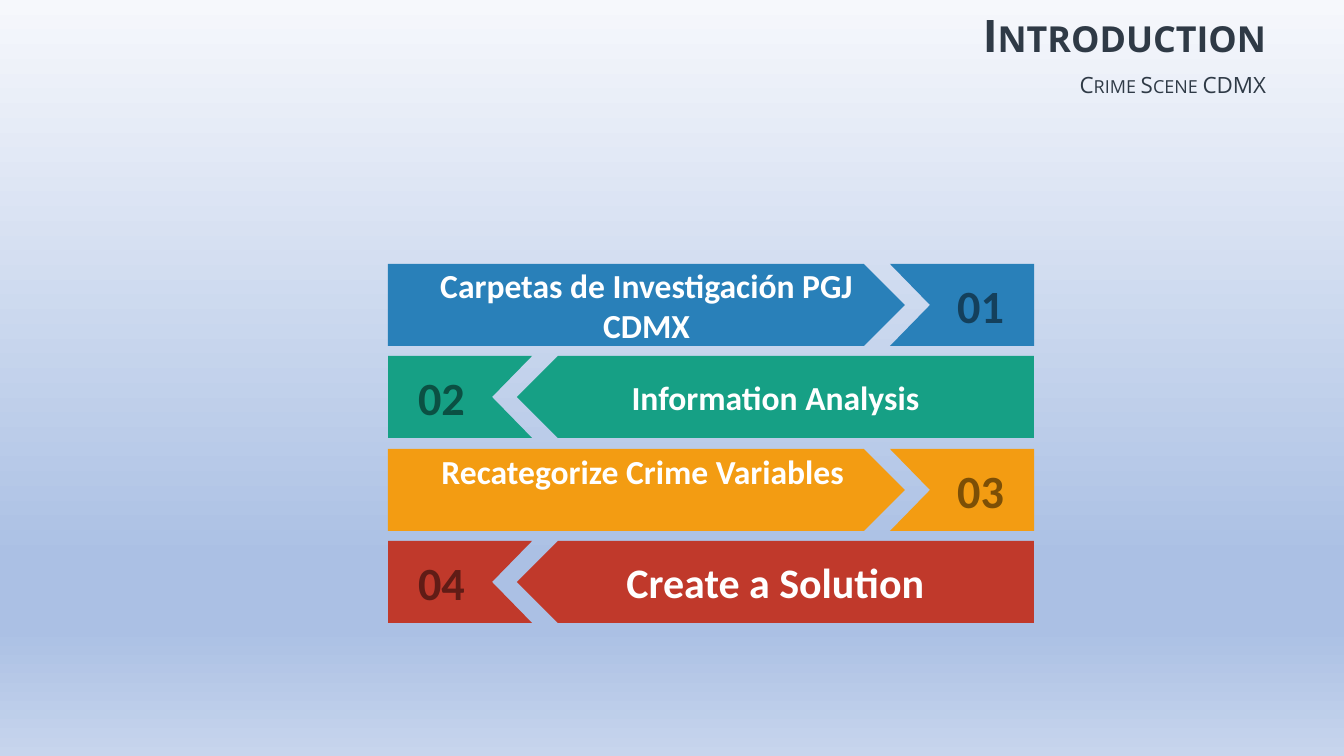
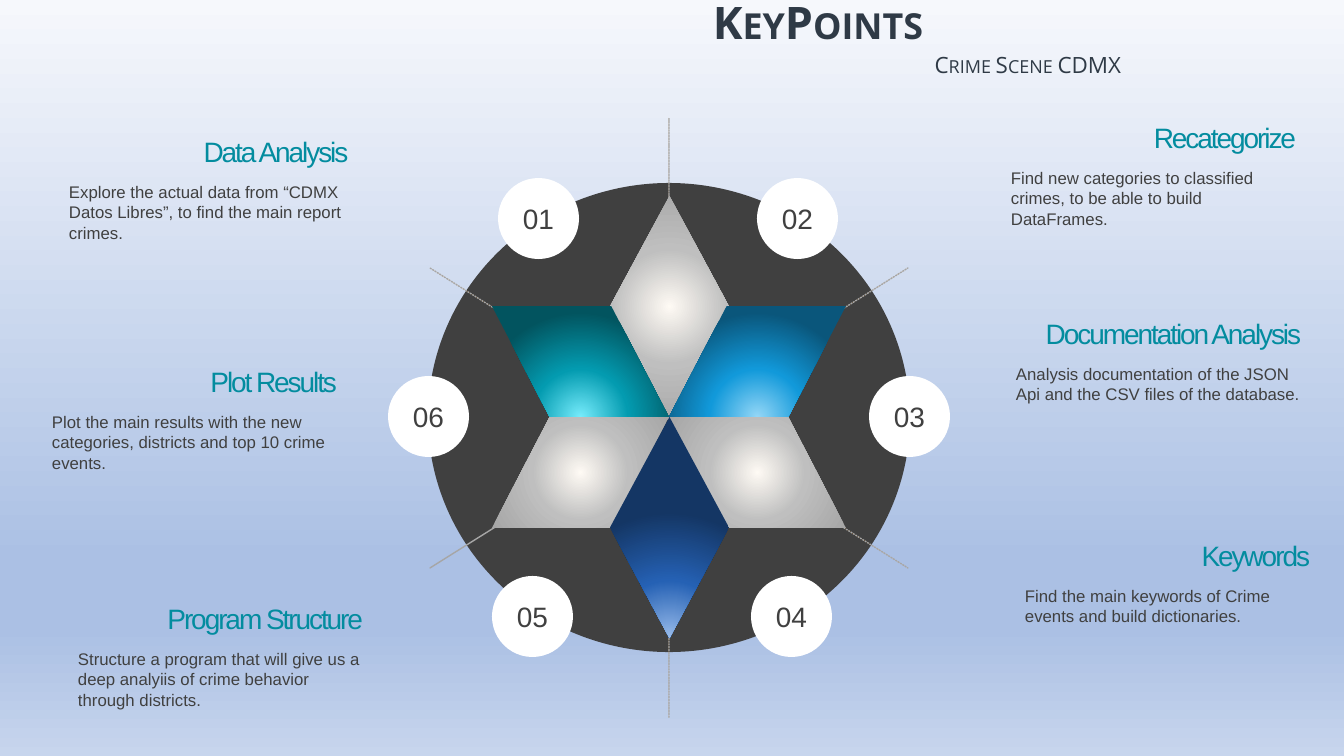
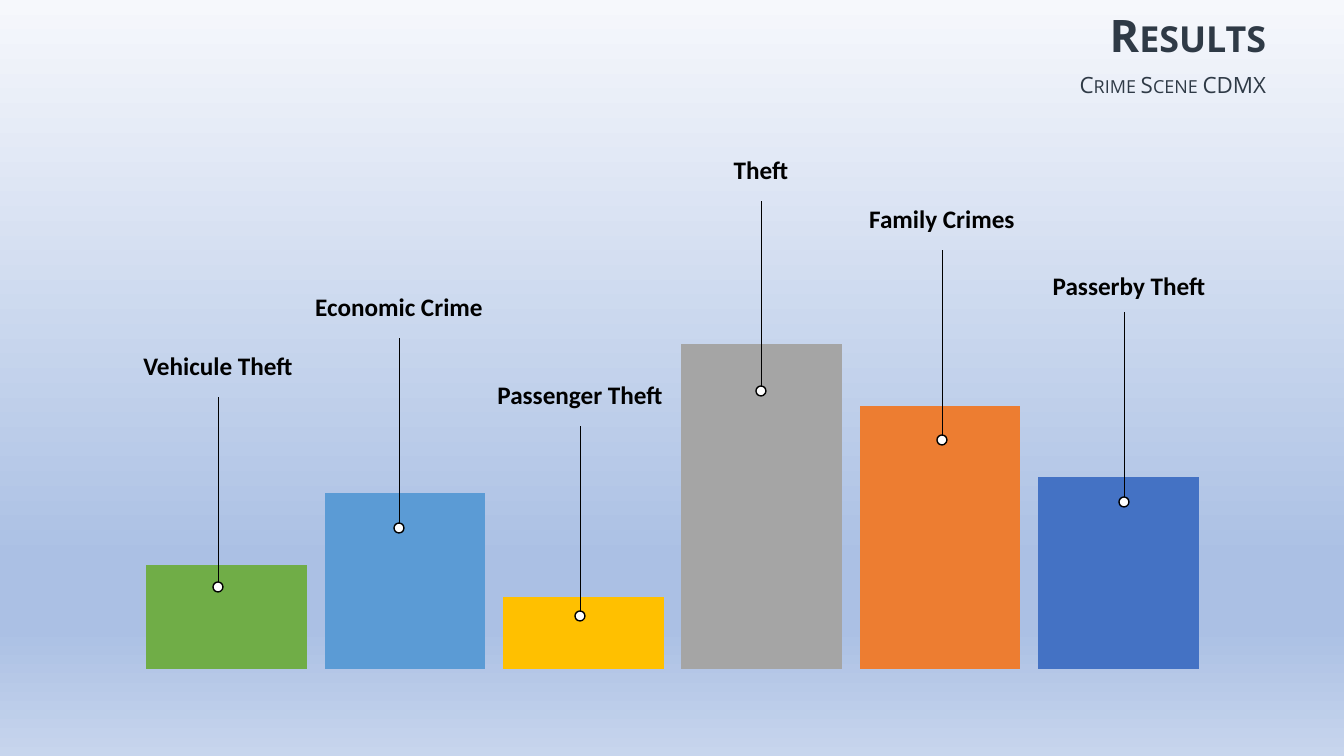
from lxml import etree
from pptx import Presentation
from pptx import util as u
from pptx.chart import data as chart_data
from pptx.dml.color import RGBColor
from pptx.enum import chart as chart_enum
from pptx.enum import dml, shapes, text
from pptx.oxml import parse_xml
from pptx.oxml.ns import nsdecls, qn

PX = 9072
COLORS = {
    "ink": "2F3A46", "white": "FFFFFF", "black": "000000",
    "charcoal": "404040", "ray": "A6A6A6", "star": "E69127", "heading": "038C9F",
    "blue": "2980B9", "blue_dark": "14405C",
    "teal": "16A085", "teal_dark": "0B5043",
    "orange": "F39C12", "orange_dark": "7C4F06",
    "red": "C0392B", "red_dark": "601C16",
}
BAR_COLORS = ["70AD47", "5B9BD5", "FFC000", "A5A5A5", "ED7D31", "4472C4"]
BACKDROP = [(0, "F6F8FC"), (74, "ABC0E4"), (83, "ABC0E4"), (100, "C7D5ED")]
SILVER = [(0, "FEFAF4"), (46, "BFBFBF"), (100, "A6A6A6")]
SKY = [(0, "94D7F7"), (46, "1199DA"), (100, "0A567B")]
TURQUOISE = [(0, "76ECFC"), (46, "039BB0"), (100, "02545F")]
NAVY = [(0, "98BBEA"), (46, "2561B4"), (100, "143664")]
DOWNWARD = '<a:lin %s ang="5400000" scaled="0"/>' % nsdecls("a")
CIRCLE = '<a:path %s path="circle"><a:fillToRect l="50000" t="%d" r="50000" b="%d"/></a:path>'
FROM_CENTRE = CIRCLE % (nsdecls("a"), 50000, 50000)
FROM_BELOW = CIRCLE % (nsdecls("a"), 130000, -30000)
LEFT, CENTER, RIGHT = text.PP_ALIGN.LEFT, text.PP_ALIGN.CENTER, text.PP_ALIGN.RIGHT
TOP, MIDDLE, BOTTOM = text.MSO_ANCHOR.TOP, text.MSO_ANCHOR.MIDDLE, text.MSO_ANCHOR.BOTTOM


def write_text(shape, content, size, color, font="Calibri", bold=False, align=LEFT,
               anchor=MIDDLE, insets=(10, 5, 10, 5), spacing=0, small_caps=False):
    frame = shape.text_frame
    frame.word_wrap = True
    frame.auto_size = text.MSO_AUTO_SIZE.NONE
    frame.vertical_anchor = anchor
    frame.margin_left, frame.margin_top, frame.margin_right, frame.margin_bottom = [
        PX * inset for inset in insets]
    paragraph = frame.paragraphs[0]
    if shape.is_placeholder:
        properties = paragraph._p.get_or_add_pPr()
        properties.set("marL", "0")
        properties.set("indent", "0")
        etree.SubElement(properties, qn("a:buNone"))
    paragraph.alignment = align
    paragraph.space_before = u.Pt(0)
    run = paragraph.add_run()
    run.text = content
    run.font.size = u.Pt(size)
    run.font.name = font
    run.font.bold = bold
    run.font.color.rgb = RGBColor.from_string(color)
    if spacing:
        run.font._element.set("spc", str(spacing))
    if small_caps:
        run.font._element.set("cap", "small")


def paint(target, fill, shade=None):
    if hasattr(target, "shadow"):
        target.shadow.inherit = False
        target.line.fill.background()
    if shade is None:
        target.fill.solid()
        target.fill.fore_color.rgb = RGBColor.from_string(fill)
        return
    target.fill.gradient()
    gradient = next(target.element.iter(qn("a:gradFill")))
    gradient.clear()
    gradient.set("rotWithShape", "1")
    stops = etree.SubElement(gradient, qn("a:gsLst"))
    for position, color in fill:
        stop = etree.SubElement(stops, qn("a:gs"), pos=str(position * 1000))
        etree.SubElement(stop, qn("a:srgbClr"), val=color)
    gradient.append(parse_xml(shade))


presentation = Presentation()
presentation.slide_width = 1344 * PX
presentation.slide_height = 756 * PX
paint(presentation.slide_master.background, BACKDROP, DOWNWARD)

slides = []
for title, title_left, title_top, subtitle_left, subtitle_top in [
    ("Introduction", 428, 0, 428, 69),
    ("KeyPoints", 85, -13, 283, 49),
    ("Results", 428, 0, 428, 69),
]:
    slide = presentation.slides.add_slide(presentation.slide_layouts[1])
    heading, subtitle = slide.placeholders
    for shape, content, left, top, height, size, bold in [
        (heading, title, title_left, title_top, 69, 32, True),
        (subtitle, "Crime Scene CDMX", subtitle_left, subtitle_top, 31, 16, False),
    ]:
        shape.left, shape.top = left * PX, top * PX
        shape.width, shape.height = 848 * PX, height * PX
        write_text(shape, content, size, COLORS["ink"], "Open Sans", bold, RIGHT,
                   small_caps=True)
    slides.append(slide)
introduction, key_points, results = slides

ROW_HEIGHT = 82
BANNER = [(388, 0), (864, 0), (905, 41), (864, 82), (388, 82)]
BADGE = [(890, 0), (1034, 0), (1034, 82), (890, 82), (930, 41)]
MIRROR = 388 + 1034
for row, (label, hue, size, anchor, insets) in enumerate([
    ("Carpetas de Investigación PGJ CDMX", "blue", 24, MIDDLE, (10, 5, 10, 5)),
    ("Information Analysis", "teal", 24, MIDDLE, (10, 5, 10, 5)),
    ("Recategorize Crime Variables ", "orange", 24, TOP, (4, 2, 4, 2)),
    ("Create a Solution", "red", 30, MIDDLE, (10, 5, 10, 5)),
]):
    top = 264 + row * 185 // 2
    flipped = row % 2 == 1
    pieces = []
    for outline in (BADGE, BANNER):
        points = [(MIRROR - x if flipped else x, top + y) for x, y in outline]
        builder = introduction.shapes.build_freeform(*points[0], scale=PX)
        builder.add_line_segments(points[1:], close=True)
        piece = builder.convert_to_shape()
        paint(piece, COLORS[hue])
        pieces.append(piece)
    badge, banner = pieces
    write_text(badge, f"{row + 1:02}", 33, COLORS[hue + "_dark"], bold=True,
               align=LEFT if flipped else RIGHT,
               insets=(30, 0, 10, 0) if flipped else (10, 0, 30, 0))
    write_text(banner, label, size, COLORS["white"], bold=True, align=CENTER,
               anchor=anchor, insets=insets)

disc = key_points.shapes.add_shape(
    shapes.MSO_SHAPE.OVAL, 428 * PX, 183 * PX, 482 * PX, 469 * PX)
paint(disc, COLORS["charcoal"])
rays = key_points.shapes.add_shape(
    shapes.MSO_SHAPE.STAR_6_POINT, 430 * PX, 118 * PX, 478 * PX, 600 * PX)
rays.adjustments[0] = 0
paint(rays, COLORS["star"])
rays.line.color.rgb = RGBColor.from_string(COLORS["ray"])
rays.line.width = u.Pt(1)
rays.line.dash_style = dml.MSO_LINE.ROUND_DOT

SLANTED, DIAMOND = shapes.MSO_SHAPE.PARALLELOGRAM, shapes.MSO_SHAPE.DIAMOND
for kind, left, top, width, height, flipped, stops, shade in [
    (SLANTED, 492, 417, 177, 111, False, SILVER, FROM_CENTRE),
    (SLANTED, 669, 417, 177, 111, True, SILVER, FROM_CENTRE),
    (DIAMOND, 610, 196, 119, 221, False, SILVER, FROM_CENTRE),
    (SLANTED, 669, 306, 177, 111, False, SKY, FROM_BELOW),
    (SLANTED, 492, 306, 177, 111, True, TURQUOISE, FROM_BELOW),
    (DIAMOND, 610, 417, 119, 221, False, NAVY, FROM_BELOW),
]:
    gem = key_points.shapes.add_shape(kind, left * PX, top * PX, width * PX, height * PX)
    if kind == SLANTED:
        gem.adjustments[0] = 0.52
    if flipped:
        gem.element.spPr.find(qn("a:xfrm")).set("flipH", "1")
    paint(gem, stops, shade)

for number, (left, top) in enumerate(
        [(498, 178), (757, 178), (869, 376), (751, 576), (492, 576), (388, 376)], 1):
    circle = key_points.shapes.add_shape(
        shapes.MSO_SHAPE.OVAL, left * PX, top * PX, 81 * PX, 81 * PX)
    paint(circle, COLORS["white"])
    write_text(circle, f"{number:02}", 20, COLORS["charcoal"], "Arial", align=CENTER)

for left, top, heading, detail in [
    (53, 129, "Data Analysis ",
     "Explore the actual data from “CDMX Datos Libres”, to find the main report crimes."),
    (995, 115, "Recategorize",
     "Find new categories to classified crimes, to be able to build DataFrames."),
    (36, 359, "Plot Results",
     "Plot the main results with the new categories, districts and top 10 crime events."),
    (62, 596, "Program Structure",
     "Structure a program that will give us a deep analyiis of crime behavior "
     "through districts."),
    (1000, 311, "Documentation Analysis",
     "Analysis documentation of the JSON Api and the CSV files of the database."),
    (1009, 533, "Keywords",
     "Find the main keywords of Crime events and build dictionaries."),
]:
    heading_box = key_points.shapes.add_textbox(left * PX, top * PX, 311 * PX, 44 * PX)
    write_text(heading_box, heading, 20, COLORS["heading"], "Arial", align=RIGHT,
               anchor=TOP, spacing=-150)
    detail_box = key_points.shapes.add_textbox(
        (left + 6) * PX, (top + 48) * PX, 305 * PX, 72 * PX)
    write_text(detail_box, detail, 12, COLORS["charcoal"], "Arial", anchor=TOP)

crime_data = chart_data.CategoryChartData()
crime_data.categories = ["1", "2", "3", "4", "5", "6"]
crime_data.add_series("Series 1", [32, 54, 22, 100, 81, 59])
chart = results.shapes.add_chart(
    chart_enum.XL_CHART_TYPE.COLUMN_CLUSTERED,
    115 * PX, 311 * PX, 1115 * PX, 365 * PX, crime_data).chart
chart.has_legend = False
chart.has_title = False
chart.font.name = "Calibri"
chart.font.size = u.Pt(10)
chart.font.color.rgb = RGBColor.from_string(COLORS["black"])
chart.value_axis.minimum_scale = 0
chart.value_axis.maximum_scale = 100
chart.value_axis.has_major_gridlines = False
chart.value_axis.visible = False
chart.category_axis.visible = False
plot = chart.plots[0]
plot.gap_width = 11
plot.overlap = -27
plot.vary_by_categories = False
series = plot.series[0]
series.format.fill.solid()
series.format.fill.fore_color.rgb = RGBColor.from_string(BAR_COLORS[-1])
for index, color in enumerate(BAR_COLORS):
    bar_fill = series.points[index].format.fill
    bar_fill.solid()
    bar_fill.fore_color.rgb = RGBColor.from_string(color)

plot_area = next(chart.element.iter(qn("c:plotArea")))
for layout in plot_area.findall(qn("c:layout")):
    plot_area.remove(layout)
plot_area.insert(0, parse_xml(
    '<c:layout %s><c:manualLayout><c:layoutTarget val="inner"/>'
    '<c:xMode val="edge"/><c:yMode val="edge"/><c:x val="0.02"/><c:y val="0.09"/>'
    '<c:w val="0.96"/><c:h val="0.89"/></c:manualLayout></c:layout>' % nsdecls("c")))

for index, (label, dot_top, shift) in enumerate([
    ("Vehicule Theft", 582, 0),
    ("Economic Crime", 523, 0),
    ("Passenger Theft", 611, 0),
    ("Theft", 386, 0),
    ("Family Crimes", 435, 0),
    ("Passerby Theft", 497, 5),
]):
    center = 218 + index * 906 // 5
    line_top = dot_top - 185
    dot = results.shapes.add_shape(
        shapes.MSO_SHAPE.OVAL, (center - 5) * PX, dot_top * PX, 10 * PX, 10 * PX)
    paint(dot, COLORS["white"])
    dot.line.color.rgb = RGBColor.from_string(COLORS["black"])
    dot.line.width = u.Pt(1)
    leader = results.shapes.add_connector(
        shapes.MSO_CONNECTOR.STRAIGHT, center * PX, dot_top * PX, center * PX, line_top * PX)
    leader.begin_connect(dot, 0)
    leader.line.color.rgb = RGBColor.from_string(COLORS["black"])
    leader.line.width = u.Pt(0.5)
    etree.SubElement(leader.element.spPr, qn("a:effectLst"))
    label_box = results.shapes.add_textbox(
        (center - 95 + shift) * PX, (line_top - 51 + shift) * PX, 190 * PX, 40 * PX)
    write_text(label_box, label, 18, COLORS["black"], bold=True, align=CENTER,
               anchor=BOTTOM)

presentation.save("out.pptx")
